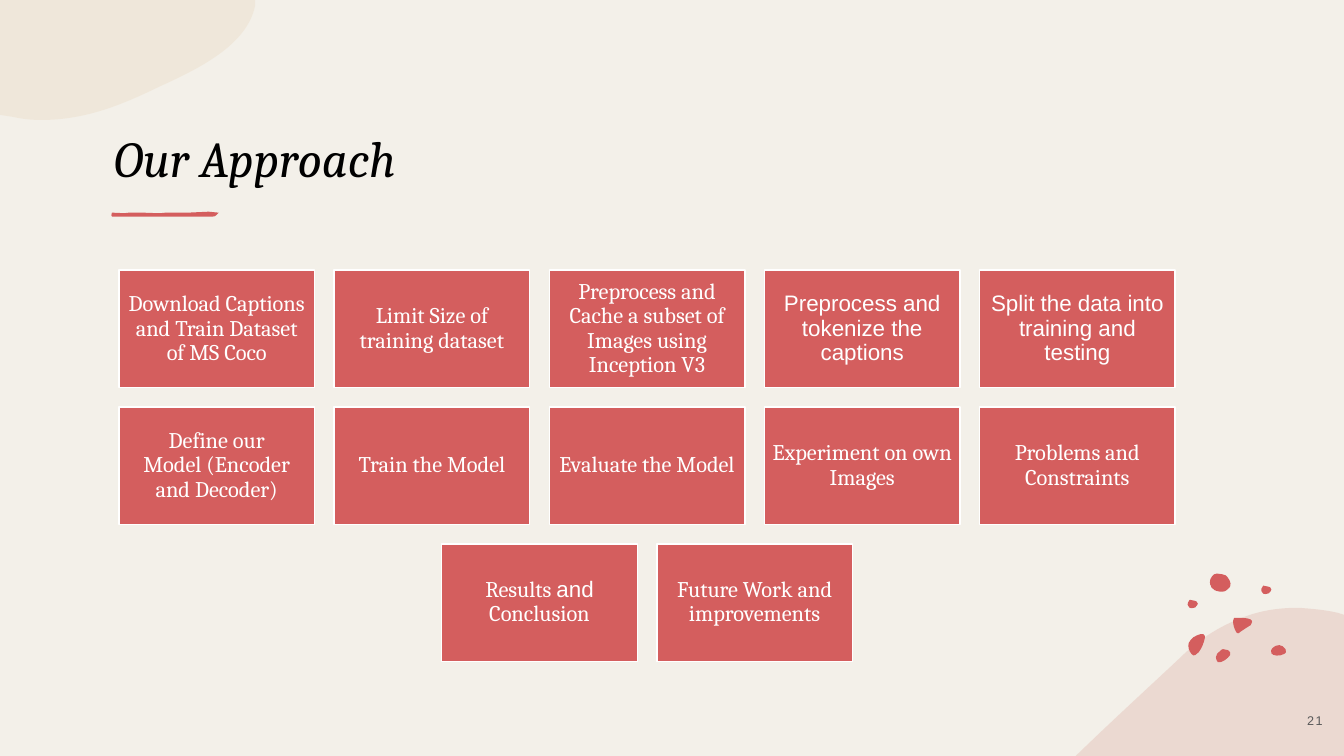
from lxml import etree
from pptx import Presentation
from pptx.dml.color import RGBColor
from pptx.enum import shapes, text
from pptx.oxml.ns import qn
from pptx.util import Inches, Pt

# Content: each step is a list of (words, font role) spans
NBSP = chr(160)  # keeps two words on one line
TITLE = "Our Approach"
PAGE_NUMBER = "21"
STEPS = [
    [("Download Captions and Train Dataset of MS Coco", "serif")],
    [("Limit Size of training dataset", "serif")],
    [(f"Preprocess and Cache a subset of Images{NBSP}using Inception V3", "serif")],
    [("Preprocess and tokenize the captions", "sans")],
    [("Split the data into training and testing", "sans")],
    [(f"Define our Model{NBSP}(Encoder and Decoder)", "serif")],
    [("Train the Model", "serif")],
    [("Evaluate the Model", "serif")],
    [("Experiment on own Images", "serif")],
    [("Problems and Constraints", "serif")],
    [("Results ", "serif"), ("and", "sans"), (" Conclusion", "serif")],
    [("Future Work and improvements", "serif")],
]

THEME = {
    "serif": "Cambria", "sans": "Arial",
    "paper": "F3F0E9", "coral": "D45E5E", "sand": "E7CFAF", "blush": "E5C4BA",
    "white": "FFFFFF", "black": "000000", "grey": "595959",
    "title_size": 36, "step_size": 16, "number_size": 9,
}

# Outlines in inches: a start point, then lines (2 numbers) or curves (6 numbers)
CORNER_SAND = [
    (0, 0), (2.53, 0), (2.53, 0.06), (2.45, 0.44, 2, 0.67, 1.58, 0.86),
    (1.23, 1.03, 0.86, 1.19, 0.41, 1.19), (0.31, 1.19, 0.22, 1.18, 0.13, 1.16), (0, 1.14),
]
CORNER_BLUSH = [
    (12.88, 6.03), (13.01, 6.04, 13.14, 6.05, 13.27, 6.08), (13.33, 6.1), (13.33, 7.5),
    (10.67, 7.5), (10.68, 7.49), (11.02, 7.16, 11.37, 6.84, 11.69, 6.54),
    (11.91, 6.32, 12.14, 6.19, 12.37, 6.11), (12.54, 6.05, 12.71, 6.03, 12.88, 6.03),
]
BRUSH_STROKE = [
    (1.11, 2.11), (1.17, 2.11, 1.23, 2.12, 1.28, 2.11), (1.41, 2.11),
    (1.47, 2.11, 1.59, 2.12, 1.64, 2.11), (1.86, 2.11), (2.07, 2.1), (2.17, 2.11),
    (2.14, 2.12, 2.16, 2.15, 2.1, 2.15), (2.01, 2.15), (1.85, 2.15), (1.6, 2.15),
    (1.38, 2.15), (1.13, 2.15), (1.1, 2.16, 1.1, 2.12, 1.11, 2.11),
]
SMALL_PEBBLE = [
    (12.51, 5.86), (12.51, 5.86, 12.51, 5.82, 12.53, 5.81),
    (12.55, 5.81, 12.56, 5.81, 12.58, 5.82), (12.59, 5.82, 12.61, 5.83, 12.61, 5.85),
    (12.61, 5.86, 12.6, 5.87, 12.59, 5.88), (12.59, 5.88, 12.59, 5.89, 12.57, 5.89),
    (12.56, 5.89, 12.54, 5.9, 12.53, 5.89), (12.52, 5.87, 12.51, 5.87, 12.51, 5.86),
]
PEBBLES = [
    [(12.13, 6.44), (12.15, 6.44, 12.16, 6.44, 12.18, 6.45),
     (12.2, 6.46, 12.21, 6.48, 12.2, 6.5), (12.18, 6.53, 12.12, 6.58, 12.08, 6.57),
     (12.07, 6.56, 12.06, 6.54, 12.06, 6.52), (12.06, 6.5, 12.08, 6.47, 12.1, 6.46),
     (12.11, 6.45, 12.12, 6.44, 12.13, 6.44)],
    [(11.91, 6.29), (11.93, 6.29, 11.95, 6.29, 11.95, 6.31), (11.95, 6.33),
     (11.94, 6.38, 11.92, 6.43, 11.89, 6.47), (11.87, 6.49, 11.84, 6.52, 11.82, 6.49),
     (11.79, 6.46, 11.78, 6.41, 11.79, 6.38), (11.8, 6.35, 11.82, 6.34, 11.84, 6.32),
     (11.85, 6.32, 11.88, 6.29, 11.91, 6.29)],
    [(12.69, 6.4), (12.71, 6.4, 12.74, 6.42, 12.75, 6.44),
     (12.76, 6.46, 12.76, 6.48, 12.73, 6.49), (12.7, 6.51, 12.62, 6.51, 12.61, 6.48),
     (12.6, 6.46, 12.61, 6.44, 12.62, 6.43), (12.64, 6.41, 12.66, 6.4, 12.69, 6.4)],
    [(12.01, 5.81), (12, 5.81, 11.99, 5.75, 12.02, 5.72),
     (12.04, 5.7, 12.04, 5.69, 12.07, 5.69), (12.1, 5.69, 12.14, 5.7, 12.16, 5.71),
     (12.18, 5.73, 12.22, 5.78, 12.2, 5.82), (12.17, 5.85, 12.16, 5.87, 12.12, 5.87),
     (12.09, 5.87, 12.04, 5.86, 12.03, 5.84), (12.01, 5.83, 12.01, 5.82, 12.01, 5.81)],
    [(12.28, 6.13), (12.34, 6.13, 12.45, 6.13, 12.41, 6.19),
     (12.41, 6.2, 12.4, 6.21, 12.39, 6.21), (12.36, 6.23, 12.33, 6.25, 12.3, 6.27),
     (12.29, 6.28, 12.28, 6.29, 12.27, 6.28), (12.26, 6.27),
     (12.24, 6.23, 12.23, 6.2, 12.23, 6.16), (12.23, 6.15, 12.23, 6.14, 12.24, 6.13)],
    SMALL_PEBBLE,
    [tuple(n + (-0.73, 0.14)[i % 2] for i, n in enumerate(part)) for part in SMALL_PEBBLE],
]

# Tile grid: sizes follow the tile width, rows are centred
COLUMNS, GRID_LEFT, GRID_TOP, TILE_WIDTH = 5, 1.18, 2.68, 1.94
TILE_HEIGHT, GAP = 0.6 * TILE_WIDTH, 0.1 * TILE_WIDTH
GRID_WIDTH = COLUMNS * (TILE_WIDTH + GAP) - GAP


def color(name):
    return RGBColor.from_string(THEME[name])


def paint(shape, fill):
    shape.shadow.inherit = False
    shape.fill.solid()
    shape.fill.fore_color.rgb = color(fill)
    shape.line.fill.background()


def add_outline(page, outline, fill, opacity=100):
    ends = [(Inches(part[-2]), Inches(part[-1])) for part in outline]
    builder = page.shapes.build_freeform(*ends[0])
    builder.add_line_segments(ends[1:], close=True)
    blob = builder.convert_to_shape()
    paint(blob, fill)
    if opacity < 100:
        tint = blob.fill._xPr.find(".//" + qn("a:srgbClr"))
        etree.SubElement(tint, qn("a:alpha")).set("val", str(opacity * 1000))

    # Bend the segments that have control points
    segments = blob._element.findall(".//" + qn("a:lnTo"))
    for segment, part in zip(segments, outline[1:]):
        if len(part) == 6:
            curve = etree.Element(qn("a:cubicBezTo"))
            for x, y in zip(part[::2], part[1::2]):
                point = etree.SubElement(curve, qn("a:pt"))
                point.set("x", str(Inches(x) - blob.left))
                point.set("y", str(Inches(y) - blob.top))
            segment.getparent().replace(segment, curve)


def write(box, spans, size, ink, align, anchor):
    """Fill the first paragraph of a box with (words, font role) spans."""
    frame = box.text_frame
    frame.word_wrap = True
    frame.vertical_anchor = anchor
    para = frame.paragraphs[0]
    para.alignment = align
    for words, face in spans:
        span = para.add_run()
        span.text = words
        span.font.name = THEME[face]
        span.font.size = Pt(THEME[size])
        span.font.color.rgb = color(ink)
    return para


def add_tile(page, left, top, spans):
    tile = page.shapes.add_shape(shapes.MSO_SHAPE.RECTANGLE, Inches(left), Inches(top),
                                 Inches(TILE_WIDTH), Inches(TILE_HEIGHT))
    paint(tile, "coral")
    tile.line.color.rgb = color("white")
    tile.line.width = Pt(1)
    frame = tile.text_frame
    frame.margin_left = frame.margin_right = Inches(0.07)
    frame.margin_top = frame.margin_bottom = Inches(0.07)
    para = write(tile, spans, "step_size", "white", text.PP_ALIGN.CENTER, text.MSO_ANCHOR.MIDDLE)
    para.line_spacing = 0.9


def main():
    deck = Presentation()
    deck.slide_width, deck.slide_height = Inches(13.33), Inches(7.5)
    page = deck.slides.add_slide(deck.slide_layouts[6])
    page.background.fill.solid()
    page.background.fill.fore_color.rgb = color("paper")

    # Decoration
    add_outline(page, CORNER_SAND, "sand", 25)
    add_outline(page, BRUSH_STROKE, "coral")
    add_outline(page, CORNER_BLUSH, "blush", 50)
    for pebble in PEBBLES:
        add_outline(page, pebble, "coral")

    # Title
    title = page.shapes.add_textbox(Inches(1.03), Inches(0.46), Inches(11.02), Inches(1.45))
    para = write(title, [(TITLE, "serif")], "title_size", "black",
                 text.PP_ALIGN.LEFT, text.MSO_ANCHOR.BOTTOM)
    para.runs[0].font.italic = True

    # Steps
    for first in range(0, len(STEPS), COLUMNS):
        row = STEPS[first:first + COLUMNS]
        row_width = len(row) * (TILE_WIDTH + GAP) - GAP
        left = GRID_LEFT + (GRID_WIDTH - row_width) / 2
        top = GRID_TOP + first // COLUMNS * (TILE_HEIGHT + GAP)
        for column, spans in enumerate(row):
            add_tile(page, left + column * (TILE_WIDTH + GAP), top, spans)

    # Page number
    number = page.shapes.add_textbox(Inches(12.75), Inches(6.95), Inches(0.58), Inches(0.4))
    para = write(number, [(PAGE_NUMBER, "sans")], "number_size", "grey",
                 text.PP_ALIGN.CENTER, text.MSO_ANCHOR.MIDDLE)
    para.runs[0].font._element.set("spc", "110")

    deck.save("out.pptx")


if __name__ == "__main__":
    main()
